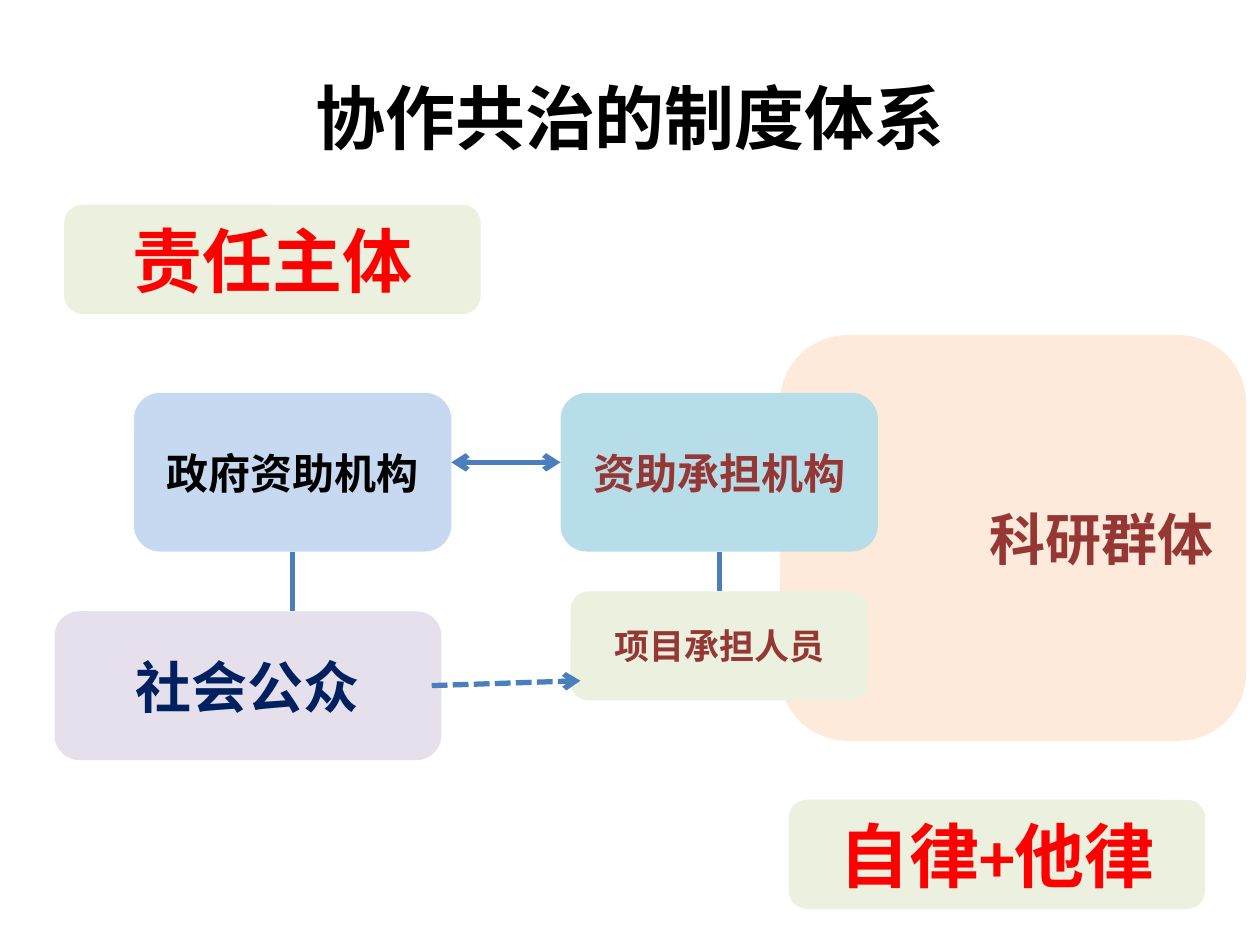
from dataclasses import dataclass

from lxml import etree
from pptx import Presentation
from pptx import util as u
from pptx.dml.color import RGBColor
from pptx.enum import dml, shapes, text
from pptx.oxml.ns import qn

FONT = "Calibri"
COLORS = {
    "peach": "FDEADA", "lilac": "E6E0EC", "green": "EBF1DE",
    "blue": "C6D9F1", "aqua": "B7DEE8", "line": "4B7EBC",
    "black": "000000", "red": "FF0000", "maroon": "953735", "navy": "002060",
}


@dataclass
class Box:
    label: str
    x: float
    y: float
    w: float
    h: float
    fill: str
    color: str
    size: float
    align: text.PP_ALIGN = text.PP_ALIGN.CENTER


@dataclass
class Link:
    x1: float
    y1: float
    x2: float
    y2: float
    head: bool = False
    tail: bool = False
    dashed: bool = False


BOXES = [
    Box("科研群体", 445.7, 191.5, 266.4, 231.8, "peach", "maroon", 32, text.PP_ALIGN.RIGHT),
    Box("社会公众", 31.2, 349.3, 221, 85, "lilac", "navy", 32),
    Box("责任主体", 36.7, 117, 238, 62.4, "green", "red", 40),
    Box("政府资助机构", 76.5, 224.5, 181.4, 90.7, "blue", "black", 24),
    Box("资助承担机构", 320.3, 224.5, 181.4, 90.7, "aqua", "maroon", 24),
    Box("项目承担人员", 326, 337.9, 170, 62.4, "green", "maroon", 20),
    Box("自律+他律", 450.7, 457, 238, 62.4, "green", "red", 40),
]

LINKS = [
    Link(411, 315.2, 411, 337.9),
    Link(257.9, 264.2, 320.3, 264.2, head=True, tail=True),
    Link(246.7, 391.8, 331.7, 389, tail=True, dashed=True),
    Link(167.2, 315.2, 167.2, 349.3),
]


def rgb(name: str) -> RGBColor:
    return RGBColor.from_string(COLORS[name])


def write(tf, label: str, size: float, color: str, align) -> None:
    tf.text = label
    tf.word_wrap = True
    tf.vertical_anchor = text.MSO_ANCHOR.MIDDLE
    p = tf.paragraphs[0]
    p.alignment = align
    f = p.runs[0].font
    f.name, f.size, f.bold = FONT, u.Pt(size), True
    f.color.rgb = rgb(color)


def draw_box(s, b: Box) -> None:
    sp = s.shapes.add_shape(shapes.MSO_SHAPE.ROUNDED_RECTANGLE,
                            u.Pt(b.x), u.Pt(b.y), u.Pt(b.w), u.Pt(b.h))
    sp.shadow.inherit = False
    sp.fill.solid()
    sp.fill.fore_color.rgb = rgb(b.fill)
    sp.line.fill.background()
    write(sp.text_frame, b.label, b.size, b.color, b.align)


def draw_link(s, k: Link) -> None:
    c = s.shapes.add_connector(shapes.MSO_CONNECTOR.STRAIGHT,
                               u.Pt(k.x1), u.Pt(k.y1), u.Pt(k.x2), u.Pt(k.y2))
    c.line.width = u.Pt(3)
    c.line.color.rgb = rgb("line")
    if k.dashed:
        c.line.dash_style = dml.MSO_LINE.SQUARE_DOT
    ln = c.line._get_or_add_ln()
    for tag, wanted in (("a:headEnd", k.head), ("a:tailEnd", k.tail)):
        if wanted:
            etree.SubElement(ln, qn(tag), type="arrow")
    etree.SubElement(c._element.spPr, qn("a:effectLst"))


def main() -> None:
    prs = Presentation()
    prs.slide_width, prs.slide_height = u.Pt(720), u.Pt(540)
    s = prs.slides.add_slide(prs.slide_layouts[5])
    title = s.shapes.title
    title.left, title.top = u.Pt(36), u.Pt(21.6)
    title.width, title.height = u.Pt(648), u.Pt(90)
    write(title.text_frame, "协作共治的制度体系", 40, "black", text.PP_ALIGN.CENTER)
    for b in BOXES:
        draw_box(s, b)
    for k in LINKS:
        draw_link(s, k)
    prs.save("out.pptx")


if __name__ == "__main__":
    main()
